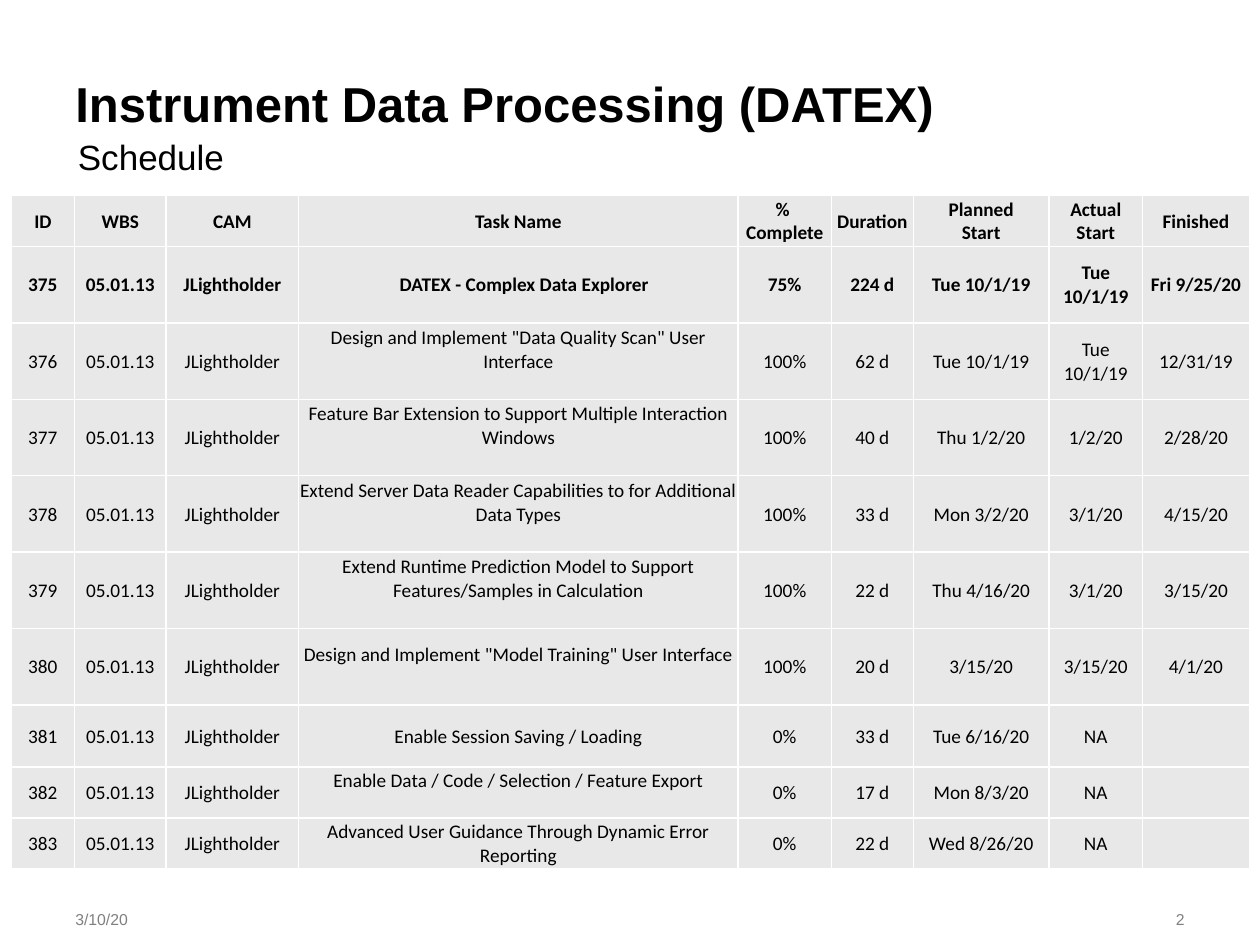
from lxml.etree import SubElement
from pptx import Presentation
from pptx.dml.color import RGBColor
from pptx.enum.text import MSO_ANCHOR, MSO_AUTO_SIZE, PP_ALIGN
from pptx.oxml.ns import qn
from pptx.util import Cm, Pt

COLORS = {"text": "000000", "footer": "808080", "cell": "E8E8E8", "border": "FFFFFF"}
TITLE = "Instrument Data Processing (DATEX)"
SUBTITLE = "Schedule"
DATE, PAGE = "3/10/20", "2"
WBS, CAM = "05.01.13", "JLightholder"

HEADER = ["ID", "WBS", "CAM", "Task Name", "% \nComplete", "Duration",
          "Planned\nStart", "Actual\nStart", "Finished"]
TASKS = [
    ("375", "DATEX - Complex Data Explorer", "75%", "224 d", "Tue 10/1/19", "Tue 10/1/19", "Fri 9/25/20"),
    ("376", 'Design and Implement "Data Quality Scan" User Interface', "100%", "62 d", "Tue 10/1/19", "Tue 10/1/19", "12/31/19"),
    ("377", "Feature Bar Extension to Support Multiple Interaction Windows", "100%", "40 d", "Thu 1/2/20", "1/2/20", "2/28/20"),
    ("378", "Extend Server Data Reader Capabilities to for Additional Data Types", "100%", "33 d", "Mon 3/2/20", "3/1/20", "4/15/20"),
    ("379", "Extend Runtime Prediction Model to Support Features/Samples in Calculation", "100%", "22 d", "Thu 4/16/20", "3/1/20", "3/15/20"),
    ("380", 'Design and Implement "Model Training" User Interface', "100%", "20 d", "3/15/20", "3/15/20", "4/1/20"),
    ("381", "Enable Session Saving / Loading", "0%", "33 d", "Tue 6/16/20", "NA", ""),
    ("382", "Enable Data / Code / Selection / Feature Export", "0%", "17 d", "Mon 8/3/20", "NA", ""),
    ("383", "Advanced User Guidance Through Dynamic Error Reporting", "0%", "22 d", "Wed 8/26/20", "NA", ""),
]
ROWS = [HEADER] + [[task[0], WBS, CAM, *task[1:]] for task in TASKS]
COL_WIDTHS = [1.27, 1.85, 2.67, 8.86, 1.88, 1.65, 2.74, 1.88, 2.16]
ROW_HEIGHTS = [1.03] + [1.54] * 6 + [1.25, 1.03, 1.03]
TASK_COL = HEADER.index("Task Name")
RAISED = {"376", "377", "378", "379", "380", "382"}
INDENTED = {"375"}


def color(name):
    return RGBColor.from_string(COLORS[name])


def write(tf, text, size=11, font="Arial", bold=False, fill="text", align=PP_ALIGN.LEFT):
    for i, line in enumerate(text.split("\n")):
        p = tf.paragraphs[0] if i == 0 else tf.add_paragraph()
        p.alignment = align
        p.space_before = Pt(0)
        p.line_spacing = 1.0
        p.font.size = Pt(size)
        if line:
            r = p.add_run()
            r.text = line
            r.font.size = Pt(size)
            r.font.name = font
            r.font.bold = bold
            r.font.color.rgb = color(fill)


def place(sp, left, top, width, height, anchor, margin_top=0.13):
    sp.left, sp.top, sp.width, sp.height = Cm(left), Cm(top), Cm(width), Cm(height)
    tf = sp.text_frame
    tf.word_wrap = True
    tf.auto_size = MSO_AUTO_SIZE.NONE
    tf.vertical_anchor = anchor
    tf.margin_left = tf.margin_right = Cm(0.25)
    tf.margin_top, tf.margin_bottom = Cm(margin_top), Cm(0.13)
    return tf


def add_borders(cell):
    tc_pr = cell._tc.get_or_add_tcPr()
    for i, side in enumerate(("lnL", "lnR", "lnT", "lnB")):
        ln = SubElement(tc_pr, qn(f"a:{side}"), w=str(Pt(1)))
        fill = SubElement(ln, qn("a:solidFill"))
        SubElement(fill, qn("a:srgbClr"), val=COLORS["border"])
        tc_pr.insert(i, ln)


def add_schedule(s):
    frame = s.shapes.add_table(len(ROWS), len(HEADER), Cm(0.23), Cm(3.94),
                               Cm(sum(COL_WIDTHS)), Cm(sum(ROW_HEIGHTS)))
    table = frame.table
    for col, width in zip(table.columns, COL_WIDTHS):
        col.width = Cm(width)
    for row, height in zip(table.rows, ROW_HEIGHTS):
        row.height = Cm(height)
    for i, values in enumerate(ROWS):
        for j, text in enumerate(values):
            cell = table.cell(i, j)
            is_task = j == TASK_COL
            cell.margin_left = Cm(0.26 if is_task and values[0] in INDENTED else 0.02)
            cell.margin_right = cell.margin_top = Cm(0.02)
            cell.margin_bottom = Cm(0.48 if is_task and values[0] in RAISED else 0)
            cell.vertical_anchor = MSO_ANCHOR.MIDDLE
            cell.fill.solid()
            cell.fill.fore_color.rgb = color("cell")
            add_borders(cell)
            write(cell.text_frame, text, font="Calibri", bold=i < 2, align=PP_ALIGN.CENTER)


def main():
    prs = Presentation()
    prs.slide_width, prs.slide_height = Cm(25.4), Cm(19.05)
    s = prs.slides.add_slide(prs.slide_layouts[0])
    tf = place(s.placeholders[1], 1.32, 2.54, 22.86, 0.91, MSO_ANCHOR.TOP, 0.19)
    write(tf, SUBTITLE, size=20)
    tf = place(s.shapes.title, 1.27, 1.27, 22.86, 1.22, MSO_ANCHOR.TOP, 0.22)
    write(tf, TITLE, size=28, bold=True)
    for text, left, width, align in ((DATE, 1.27, 3.76, PP_ALIGN.LEFT),
                                     (PAGE, 20.6, 3.53, PP_ALIGN.RIGHT)):
        sp = s.shapes.add_textbox(0, 0, 0, 0)
        tf = place(sp, left, 18.03, width, 1.02, MSO_ANCHOR.MIDDLE)
        write(tf, text, size=9, fill="footer", align=align)
    add_schedule(s)
    prs.save("out.pptx")


if __name__ == "__main__":
    main()
